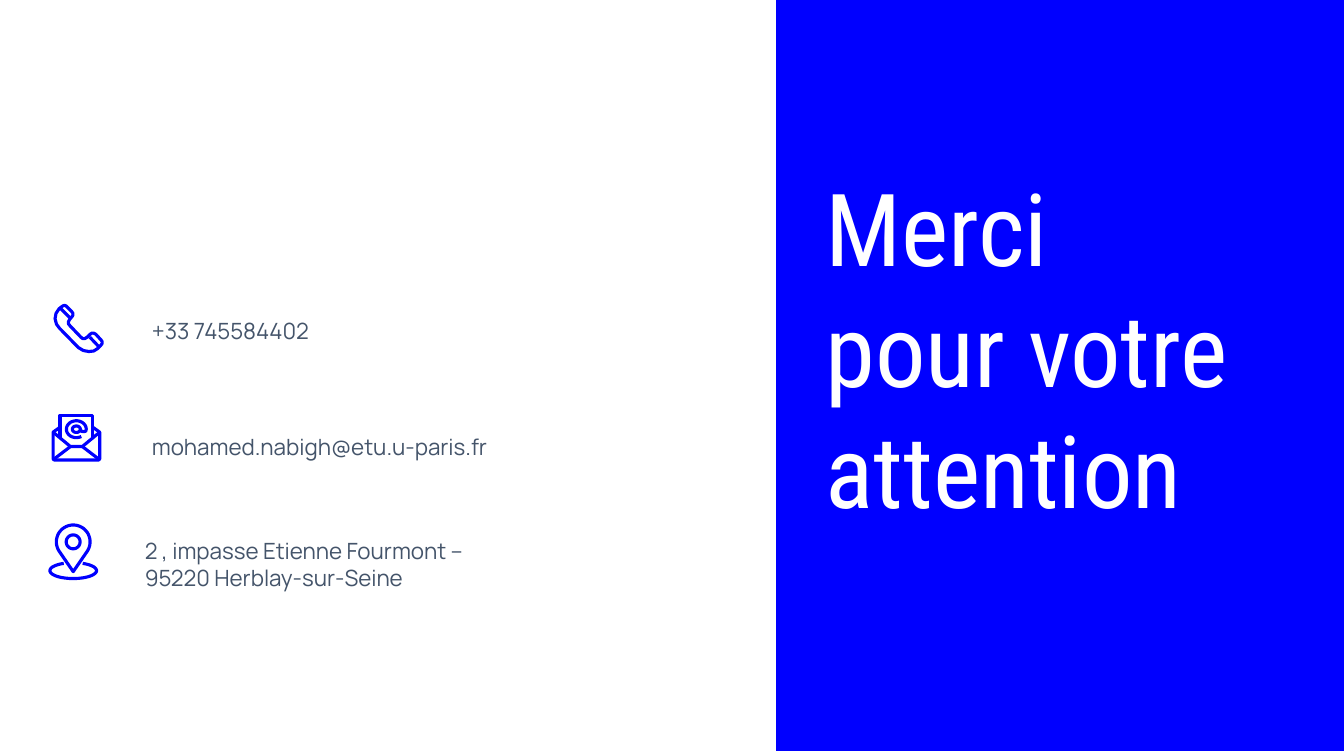
import math

import pptx
import pptx.util
import pptx.dml.color
import pptx.enum.shapes
import pptx.enum.text

Cm = pptx.util.Cm
COLOURS = {"blue": "0000FF", "white": "FFFFFF", "slate": "44546A"}


def colour(name):
    """Return the named palette colour."""
    return pptx.dml.color.RGBColor.from_string(COLOURS[name])


def arc(centre_x, centre_y, radius_x, radius_y, start=0, end=360):
    """Return points along an arc, clockwise in degrees."""
    angles = [math.radians(start + (end - start) * step / 40) for step in range(41)]
    return [(centre_x + radius_x * math.cos(angle), centre_y + radius_y * math.sin(angle))
            for angle in angles]


def phone_icon():
    """Return the strokes of a telephone handset."""
    handset = [(16, 5), (19, 3), (22, 2), (25, 3), (28, 6), (37, 15), (39, 18), (39, 22),
               (37, 25), (32, 31), (30, 35), (30, 39), (33, 43), (55, 66), (59, 69),
               (63, 69), (68, 66), (74, 60), (77, 58), (81, 58), (85, 60), (96, 72),
               (98, 75), (98, 79), (94, 84), (89, 89), (81, 94), (71, 95), (60, 93),
               (50, 87), (12, 48), (6, 40), (3, 29), (5, 18), (11, 9), (16, 5)]
    return [[handset, [(14, 8), (34, 28)], [(73, 66), (91, 85)]]]


def mail_icon():
    """Return the strokes of an open envelope and of its at sign."""
    envelope = [
        [(17, 26), (3, 36), (3, 90), (5, 92), (95, 92), (97, 90), (97, 36), (83, 26)],
        [(17, 47), (17, 2), (83, 2), (83, 47)],
        [(3, 36), (38, 65), (62, 65), (97, 36)],
        [(4, 91), (38, 65)],
        [(96, 91), (62, 65)],
    ]
    at_sign = [
        arc(50, 30, 20, 17, 60, 360) + [(69, 34), (65, 35), (60, 34), (58, 30)],
        arc(50, 30, 8, 6.5),
    ]
    return [envelope, at_sign]


def pin_icon():
    """Return the strokes of a map pin on its base and of its ring."""
    tip = (50, 98)
    pin = [tip] + arc(50, 38, 34, 34, 145, 395) + [tip]
    base = arc(50, 96, 47, 16, -66, 246)
    return [[pin, base], [arc(50, 38, 14, 14)]]


def draw_icon(page, parts, left, top, width):
    """Draw stroked icon parts, given in percent of the icon width."""
    for strokes in parts:
        scaled = [[(x * 10, y * 10) for x, y in stroke] for stroke in strokes]
        builder = page.shapes.build_freeform(*scaled[0][0], scale=width / 1000)
        for number, stroke in enumerate(scaled):
            if number:
                builder.move_to(*stroke[0])
            builder.add_line_segments(stroke[1:], close=stroke[0] == stroke[-1])
        icon = builder.convert_to_shape(left, top)
        icon.shadow.inherit = False
        icon.fill.background()
        icon.line.color.rgb = colour("blue")
        icon.line.width = pptx.util.Pt(2.25)


def add_contact(page, words, left, top, width, height):
    """Place one contact line in its box."""
    box = page.shapes.add_textbox(left, top, width, height)
    frame = box.text_frame
    frame.word_wrap = True
    frame.vertical_anchor = pptx.enum.text.MSO_ANCHOR.MIDDLE
    frame.margin_left = frame.margin_right = Cm(0.25)
    frame.margin_top = frame.margin_bottom = Cm(0.25)
    para = frame.paragraphs[0]
    para.text = words
    para.font.name = "Manrope"
    para.font.size = pptx.util.Pt(16)
    para.font.color.rgb = colour("slate")


def add_contacts(page):
    """Place the three contacts with their icons."""
    contacts = [
        ("+33 745584402", (3.58, 8.03, 6.17, 0.61), phone_icon(), (1.35, 7.67)),
        ("mohamed.nabigh@etu.u-paris.fr", (3.58, 10.95, 11.84, 0.61),
         mail_icon(), (1.3, 10.44)),
        ("2 , impasse Etienne Fourmont – 95220 Herblay-sur-Seine",
         (3.4, 13.82, 9.73, 0.79), pin_icon(), (1.22, 13.18)),
    ]
    for words, text_box, parts, corner in contacts:
        add_contact(page, words, *map(Cm, text_box))
        draw_icon(page, parts, *map(Cm, corner), Cm(1.25))


def add_thanks(page, left, top, width, height):
    """Place the blue panel and the closing title on it."""
    panel = page.shapes.add_shape(
        pptx.enum.shapes.MSO_SHAPE.RECTANGLE, left, top, width, height)
    panel.shadow.inherit = False
    panel.fill.solid()
    panel.fill.fore_color.rgb = colour("blue")
    panel.line.fill.background()

    title = page.shapes.title
    title.element.addprevious(panel.element)
    title.left, title.top = left + Cm(0.99), top + Cm(4.17)
    title.width, title.height = Cm(10.69), Cm(12.57)
    frame = title.text_frame
    frame.word_wrap = True
    frame.auto_size = pptx.enum.text.MSO_AUTO_SIZE.NONE
    frame.vertical_anchor = pptx.enum.text.MSO_ANCHOR.TOP
    para = frame.paragraphs[0]
    para.text = "Merci pour votre attention"
    para.alignment = pptx.enum.text.PP_ALIGN.LEFT
    para.font.name = "Roboto Condensed"
    para.font.size = pptx.util.Pt(72)
    para.font.color.rgb = colour("white")


def main():
    """Build the closing slide and save the deck."""
    deck = pptx.Presentation()
    deck.slide_width, deck.slide_height = Cm(33.87), Cm(19.05)
    page = deck.slides.add_slide(deck.slide_layouts.get_by_name("Title Only"))
    add_thanks(page, Cm(19.56), Cm(-0.13), Cm(14.35), Cm(19.05))
    add_contacts(page)
    deck.save("out.pptx")


if __name__ == "__main__":
    main()
